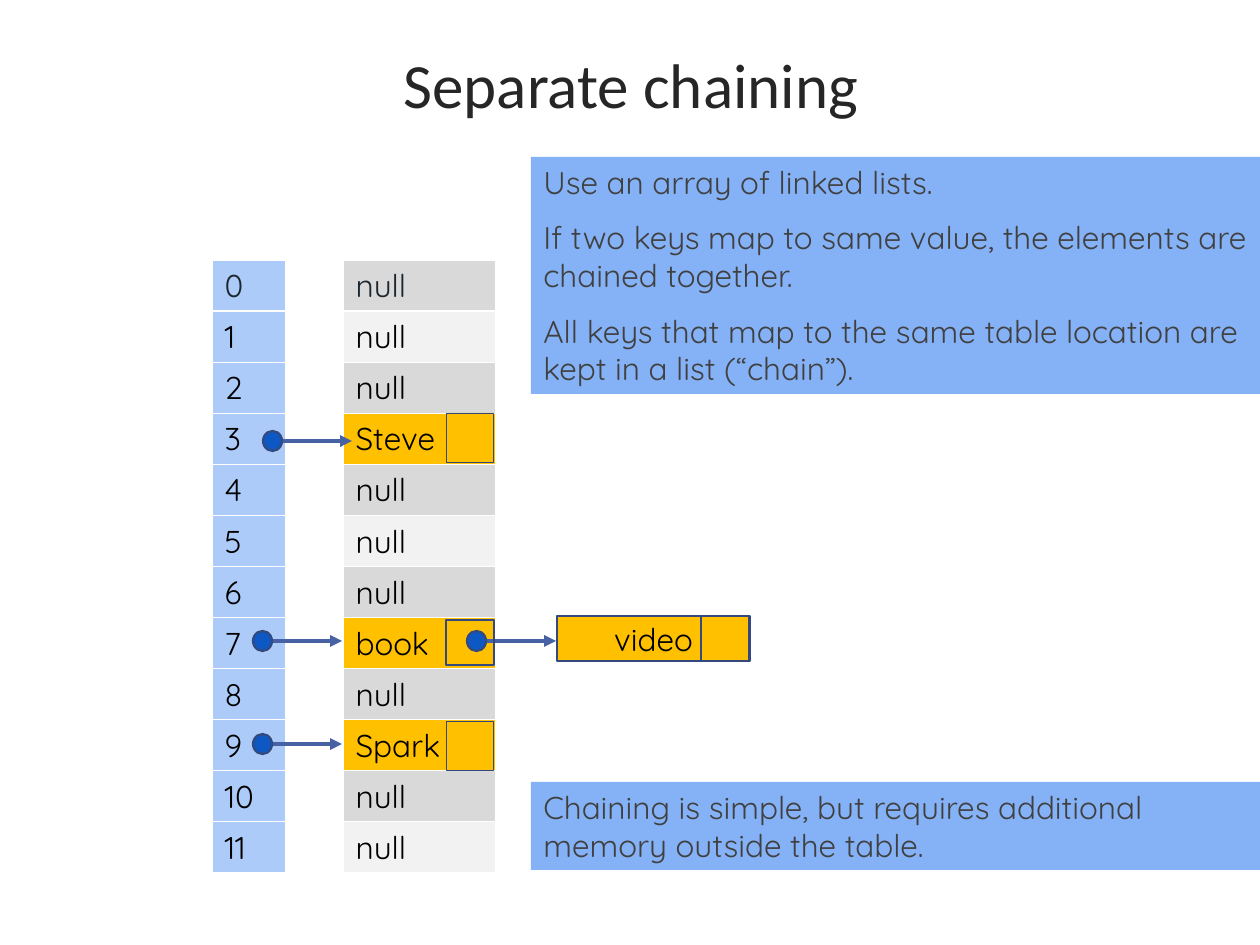
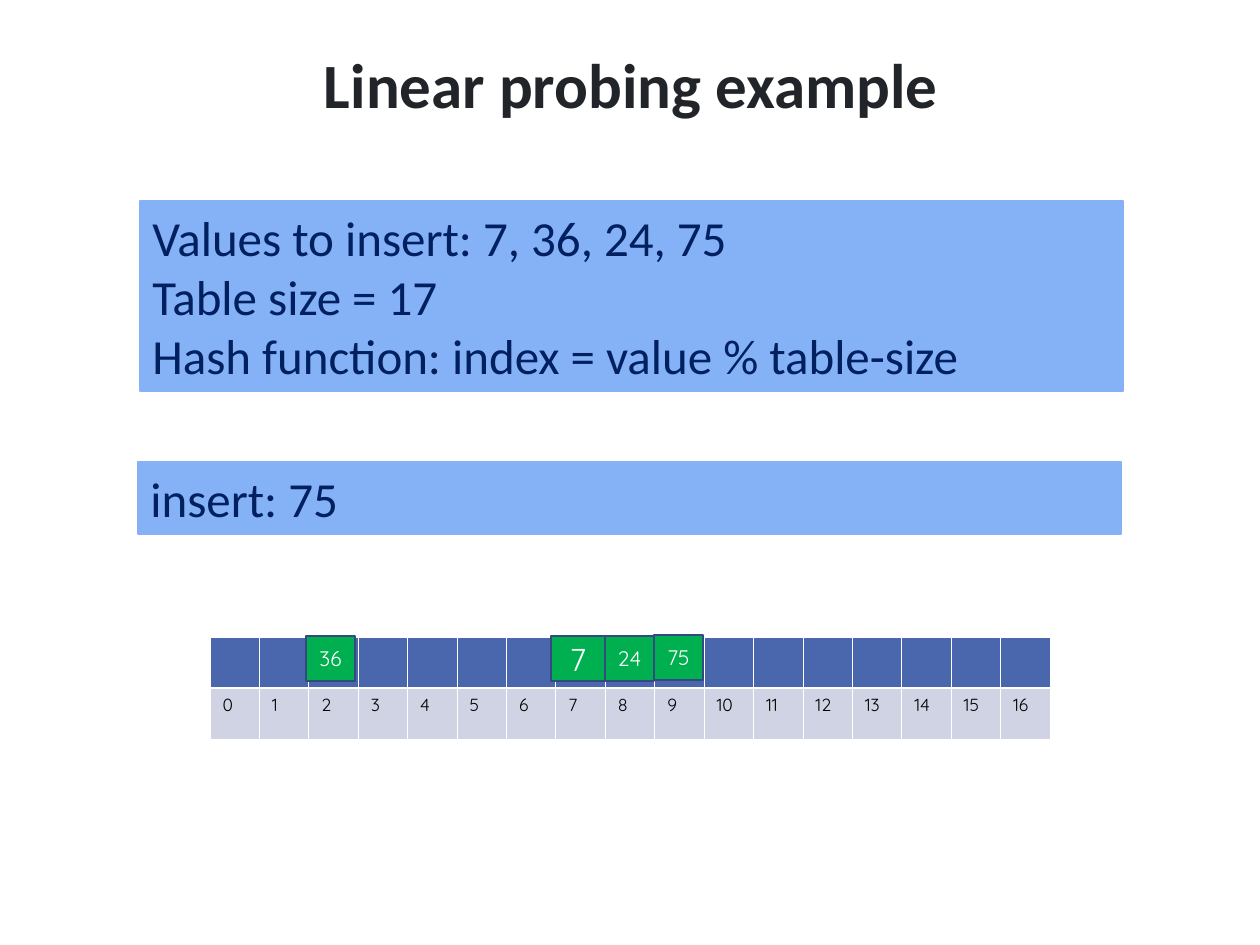
from dataclasses import dataclass

import pptx
import pptx.dml.color
import pptx.enum.shapes
import pptx.enum.text
import pptx.oxml.ns
import pptx.util
from lxml import etree

SHAPE = pptx.enum.shapes.MSO_SHAPE
ALIGN = pptx.enum.text.PP_ALIGN
ANCHOR = pptx.enum.text.MSO_ANCHOR
qn = pptx.oxml.ns.qn


def px(n):
    """126 px make one inch."""
    return pptx.util.Emu(round(n * 914400 / 126))


def rgb(value):
    return pptx.dml.color.RGBColor.from_string(value)


@dataclass(frozen=True)
class Theme:
    # Fonts
    head_font: str = "Calibri"
    body_font: str = "Quicksand"
    # Type sizes
    title: int = 36
    statement: int = 28
    body: int = 18
    value: int = 12
    index: int = 10
    # Line widths
    hairline: float = 0.25
    outline: float = 1.25
    arrow: float = 2.25
    cell_rule: float = 0.45
    header_rule: float = 1.47
    # Colours
    white: str = "FFFFFF"
    black: str = "000000"
    title_grey: str = "262626"
    title_dark: str = "212529"
    header_text: str = "1C262F"
    note_text: str = "404040"
    navy: str = "002060"
    panel: str = "85B2F6"
    index_fill: str = "ACCBF9"
    null_dark: str = "D9D9D9"
    null_light: str = "F2F2F2"
    node: str = "FFC000"
    edge: str = "34497D"
    link: str = "4661A4"
    dot: str = "0E58C4"
    slot: str = "4A66AC"
    slot_index: str = "D0D3E3"
    inserted: str = "00B050"


class Deck:
    def __init__(self, theme):
        self.t = theme
        self.prs = pptx.Presentation()
        self.prs.slide_width, self.prs.slide_height = px(1260), px(945)
        self.s = None

    def slide(self, title, color, bold=False):
        self.s = self.prs.slides.add_slide(self.prs.slide_layouts[6])
        sp = self.s.shapes.add_textbox(*map(px, (64, 35, 1134, 120)))
        sp.text_frame.margin_top = px(10)
        self.text(sp.text_frame, [title], self.t.title, color,
                  self.t.head_font, ALIGN.CENTER, bold=bold)

    def text(self, tf, lines, size, color, font=None, align=ALIGN.LEFT,
             gap=0, bold=False):
        tf.word_wrap = True
        tf.text = "\n".join(lines)
        for i, p in enumerate(tf.paragraphs):
            p.alignment = align
            if i and gap:
                p.space_before = pptx.util.Pt(gap)
            for r in p.runs:
                r.font.name = font or self.t.body_font
                r.font.size = pptx.util.Pt(size)
                r.font.bold = bold
                r.font.color.rgb = rgb(color)

    def shape(self, box, fill=None, line=None, width=1.25, kind=SHAPE.RECTANGLE):
        sp = self.s.shapes.add_shape(kind, *map(px, box))
        sp.shadow.inherit = False
        if fill:
            sp.fill.solid()
            sp.fill.fore_color.rgb = rgb(fill)
        else:
            sp.fill.background()
        if line:
            sp.line.color.rgb = rgb(line)
            sp.line.width = pptx.util.Pt(width)
        else:
            sp.line.fill.background()
        return sp

    def node(self, box, label, fill, color, size):
        sp = self.shape(box, fill, self.t.edge, self.t.outline)
        sp.text_frame.vertical_anchor = ANCHOR.MIDDLE
        self.text(sp.text_frame, [label], size, color, align=ALIGN.CENTER)

    def note(self, box, *lines):
        sp = self.shape(box, self.t.panel)
        sp.text_frame.vertical_anchor = ANCHOR.TOP
        self.text(sp.text_frame, lines, self.t.body, self.t.note_text, gap=10)

    def statement(self, box, *lines):
        sp = self.shape(box, self.t.panel, self.t.panel, 0.75)
        sp.text_frame.vertical_anchor = ANCHOR.MIDDLE
        self.text(sp.text_frame, lines, self.t.statement, self.t.navy, self.t.head_font)

    def link(self, x, y):
        """A dot at x, centred on y, with an arrow leaving it to the right."""
        start = x + 19
        c = self.s.shapes.add_connector(
            pptx.enum.shapes.MSO_CONNECTOR.STRAIGHT,
            px(start), px(y), px(start + 70), px(y))
        c.line.color.rgb = rgb(self.t.link)
        c.line.width = pptx.util.Pt(self.t.arrow)
        etree.SubElement(c.line._get_or_add_ln(), qn("a:tailEnd"), type="triangle")
        etree.SubElement(c._element.spPr, qn("a:effectLst"))
        self.shape((x, y - 10, 19, 20), self.t.dot, self.t.edge,
                   self.t.outline, SHAPE.OVAL)

    def border(self, cell, row):
        """White rules, with a thicker one under the first row."""
        heavy = {0: "lnB", 1: "lnT"}.get(row)
        tcPr = cell._tc.get_or_add_tcPr()
        for side in ("lnL", "lnR", "lnT", "lnB"):
            width = self.t.header_rule if side == heavy else self.t.cell_rule
            ln = etree.SubElement(tcPr, qn("a:" + side), w=str(pptx.util.Pt(width)))
            fill = etree.SubElement(ln, qn("a:solidFill"))
            etree.SubElement(fill, qn("a:srgbClr"), val=self.t.white)

    def table(self, box, rows, fills, size):
        """An even grid; fills gives one colour for each row."""
        x, y, w, h = map(px, box)
        tbl = self.s.shapes.add_table(len(rows), len(rows[0]), x, y, w, h).table
        tbl.first_row = tbl.horz_banding = False
        for col in tbl.columns:
            col.width = w // len(rows[0])
        for i, (row, fill) in enumerate(zip(rows, fills)):
            tbl.rows[i].height = h // len(rows)
            for j, label in enumerate(row):
                cell = tbl.cell(i, j)
                self.border(cell, i)
                cell.fill.solid()
                cell.fill.fore_color.rgb = rgb(fill)
                cell.margin_bottom = 0
                if label:
                    color = self.t.black if i else self.t.header_text
                    self.text(cell.text_frame, [label], size, color)


def separate_chaining(d):
    t = d.t
    d.slide("Separate chaining", t.title_grey)
    d.note((531, 157, 729, 237),
           "Use an array of linked lists.",
           "If two keys map to same value, the elements are chained together.",
           "All keys that map to the same table location are kept in a list (“chain”).")

    # Bucket array beside its indexes
    count = 12
    heads = {3: "Steve", 7: "book", 9: "Spark"}
    buckets = [[heads.get(i, "null")] for i in range(count)]
    fills = [t.node if i in heads else (t.null_light if i % 2 else t.null_dark)
             for i in range(count)]
    d.table((343, 260, 152, 613), buckets, fills, t.body)
    d.table((212, 260, 73, 613), [[str(i)] for i in range(count)],
            [t.index_fill] * count, t.body)

    # Chained node and links
    d.node((557, 616, 193, 45), "video", t.node, t.black, t.body)
    for x, y in ((253, 641), (467, 641), (263, 441), (253, 744)):
        d.link(x, y)

    # Pointer slots
    for y in (413, 721):
        d.shape((446, y, 47, 49), t.node, t.edge, t.hairline)
    d.shape((701, 616, 48, 45), t.node, t.edge, t.outline)
    d.shape((446, 620, 48, 45), None, t.edge, t.outline)

    d.note((531, 782, 729, 88),
           "Chaining is simple, but requires additional memory outside the table.")


def linear_probing(d):
    t = d.t
    d.slide("Linear probing example", t.title_dark, bold=True)
    d.statement((140, 201, 983, 190),
                "Values to insert: 7, 36, 24, 75",
                "Table size = 17",
                "Hash function: index = value % table-size")
    d.statement((138, 462, 983, 72), "insert: 75")

    # Hash table: slots above their indexes
    size = 17
    d.table((210, 637, 840, 102), [[""] * size, [str(i) for i in range(size)]],
            [t.slot, t.slot_index], t.index)

    # Inserted values
    d.node((551, 636, 54, 45), "7", t.inserted, t.white, t.body)
    for x, y, label in ((306, 636, "36"), (605, 636, "24"), (654, 635, "75")):
        d.node((x, y, 49, 45), label, t.inserted, t.white, t.value)


def main():
    d = Deck(Theme())
    separate_chaining(d)
    linear_probing(d)
    d.prs.save("out.pptx")


if __name__ == "__main__":
    main()
